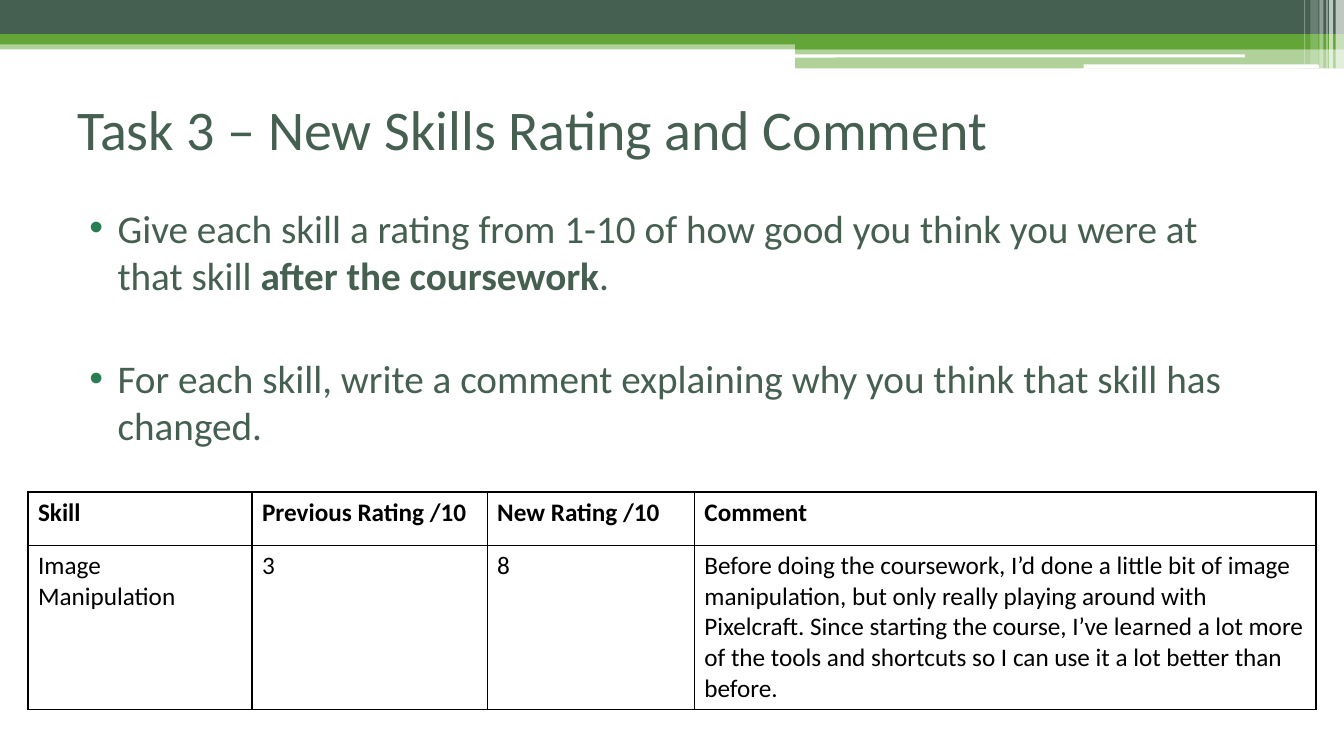
from lxml import etree
from pptx import Presentation
from pptx import util as u
from pptx.dml.color import RGBColor
from pptx.enum import shapes, text
from pptx.oxml import ns

COLORS = {"slate": "455F51", "green": "63A537", "bullet": "297D53",
          "white": "FFFFFF", "black": "000000"}
WIDTH, HEIGHT = 960, 540


def add_xml(parent, tag, **attributes):
    """Append a DrawingML element to a parent."""
    return etree.SubElement(parent, ns.qn(tag), attributes)


class SlideBuilder:
    """Holds the style and the current slide."""

    def __init__(self, slide, font="Calibri"):
        self.slide = slide
        self.font = font

    def style(self, font, size, color, bold=False):
        """Apply typeface, size, colour and weight."""
        font.name, font.size, font.bold = self.font, u.Pt(size), bold
        font.color.rgb = RGBColor.from_string(COLORS[color])

    def band(self, left, top, width, height, color, opacity=100, rounded=False):
        """Draw a borderless bar."""
        kind = shapes.MSO_SHAPE.ROUNDED_RECTANGLE if rounded else shapes.MSO_SHAPE.RECTANGLE
        bar = self.slide.shapes.add_shape(kind, *map(u.Pt, (left, top, width, height)))
        bar.shadow.inherit = False
        bar.line.fill.background()
        bar.fill.solid()
        bar.fill.fore_color.rgb = RGBColor.from_string(COLORS[color])
        if opacity < 100:
            tint = bar.fill._xPr.find(".//" + ns.qn("a:srgbClr"))
            add_xml(tint, "a:alpha", val=str(opacity * 1000))

    def place(self, box, left, top, width, height, anchor):
        """Move a placeholder and return its text frame."""
        box.left, box.top, box.width, box.height = map(u.Pt, (left, top, width, height))
        frame = box.text_frame
        frame.word_wrap = True
        frame.auto_size = text.MSO_AUTO_SIZE.NONE
        frame.vertical_anchor = anchor
        return frame

    def title(self, wording, *area):
        """Fill the title placeholder."""
        frame = self.place(self.slide.shapes.title, *area, text.MSO_ANCHOR.MIDDLE)
        frame.text = wording
        para = frame.paragraphs[0]
        para.alignment = text.PP_ALIGN.LEFT
        self.style(para.font, 40, "slate")

    def bullets(self, items, *area):
        """Fill the body with (space before, [(wording, bold)]) items."""
        frame = self.place(self.slide.placeholders[1], *area, text.MSO_ANCHOR.TOP)
        for index, (space, spans) in enumerate(items):
            para = frame.add_paragraph() if index else frame.paragraphs[0]
            para.space_before = u.Pt(space)
            self.style(para.font, 28, "slate")
            properties = para._p.get_or_add_pPr()
            properties.set("marL", str(u.Pt(28.8)))
            properties.set("indent", str(u.Pt(-20.2)))
            tint = etree.Element(ns.qn("a:buClr"))
            add_xml(tint, "a:srgbClr", val=COLORS["bullet"])
            mark = etree.Element(ns.qn("a:buChar"), char="•")
            defaults = properties.find(ns.qn("a:defRPr"))
            defaults.addprevious(tint)
            defaults.addprevious(mark)
            for wording, bold in spans:
                span = para.add_run()
                span.text = wording
                self.style(span.font, 28, "slate", bold)

    def table(self, rows, left, top, widths, heights):
        """Add a plain ruled table with a bold first row."""
        grid = self.slide.shapes.add_table(
            len(rows), len(widths), u.Pt(left), u.Pt(top),
            u.Pt(sum(widths)), u.Pt(sum(heights))).table
        grid.first_row = grid.horz_banding = False
        for column, width in zip(grid.columns, widths):
            column.width = u.Pt(width)
        for row, (line, height) in enumerate(zip(rows, heights)):
            grid.rows[row].height = u.Pt(height)
            for column, wording in enumerate(line):
                cell = grid.cell(row, column)
                cell.text = wording
                self.style(cell.text_frame.paragraphs[0].font, 18, "black", row == 0)
                self.borders(cell)
                cell.fill.background()

    def borders(self, cell):
        """Rule all four sides of a cell."""
        properties = cell._tc.get_or_add_tcPr()
        for side in "LRTB":
            rule = add_xml(properties, "a:ln" + side, w=str(u.Pt(1)))
            add_xml(add_xml(rule, "a:solidFill"), "a:srgbClr", val=COLORS["black"])


deck = Presentation()
deck.slide_width, deck.slide_height = u.Pt(WIDTH), u.Pt(HEIGHT)
page = SlideBuilder(deck.slides.add_slide(deck.slide_layouts[1]))

STEP = 568
page.band(0, 28.8, WIDTH, 6.5, "green", 50)
page.band(0, 0, WIDTH, 24.5, "slate")
page.band(0, 24.5, WIDTH, 7.2, "green")
page.band(STEP, 28.1, WIDTH - STEP, 7.2, "green")
page.band(STEP, 34.6, WIDTH - STEP, 14.2, "green", 50)
page.band(567.5, 38.9, 321.8, 2.2, "white", rounded=True)
page.band(774, 46.1, 168, 2.9, "white", rounded=True)
for left, width, height, opacity in [
        (954, 6, 49, 65), (949.5, 2.9, 49, 65), (947.5, 0.8, 49, 60),
        (942.5, 2.9, 49, 40), (936, 5.8, 46, 20), (931.5, 0.8, 46, 30)]:
    page.band(left, 0, width, height, "white", opacity)

page.title("Task 3 – New Skills Rating and Comment", 48, 62, 864, 59)
page.bullets([
    (3, [("Give each skill a rating from 1-10 of how good you think you were "
          "at that skill ", False), ("after the coursework", True), (".", False)]),
    (40, [("For each skill, write a comment explaining why you think that "
           "skill has changed.", False)]),
], 48, 142, 864, 376)
page.table([
    ["Skill", "Previous Rating /10", "New Rating /10", "Comment"],
    ["Image Manipulation", "3", "8",
     "Before doing the coursework, I’d done a little bit of image manipulation, "
     "but only really playing around with Pixelcraft. Since starting the course, "
     "I’ve learned a lot more of the tools and shortcuts so I can use it a lot "
     "better than before."],
], 20, 351.4, [160, 168, 148, 444], [38.2, 96.5])

deck.save("out.pptx")
